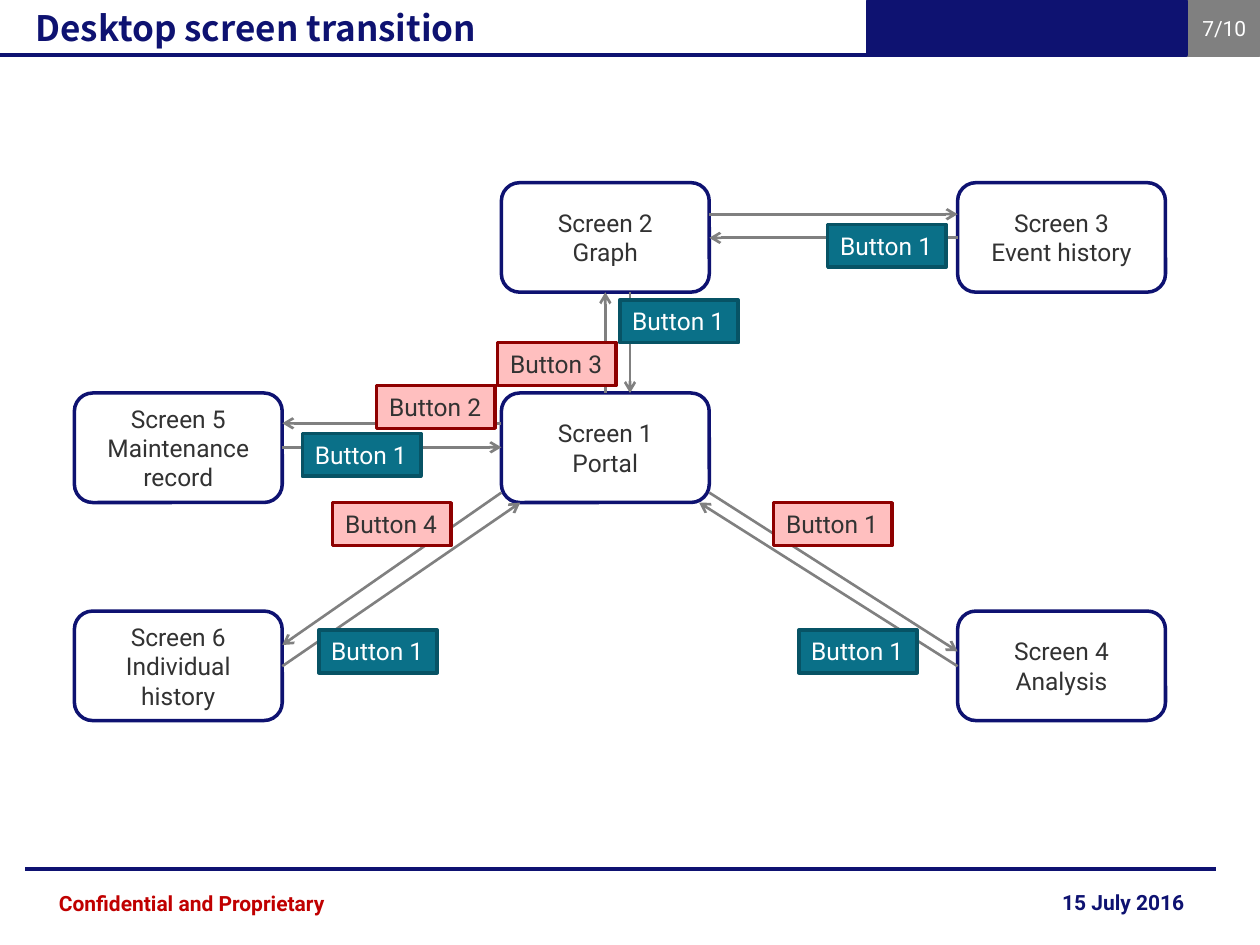
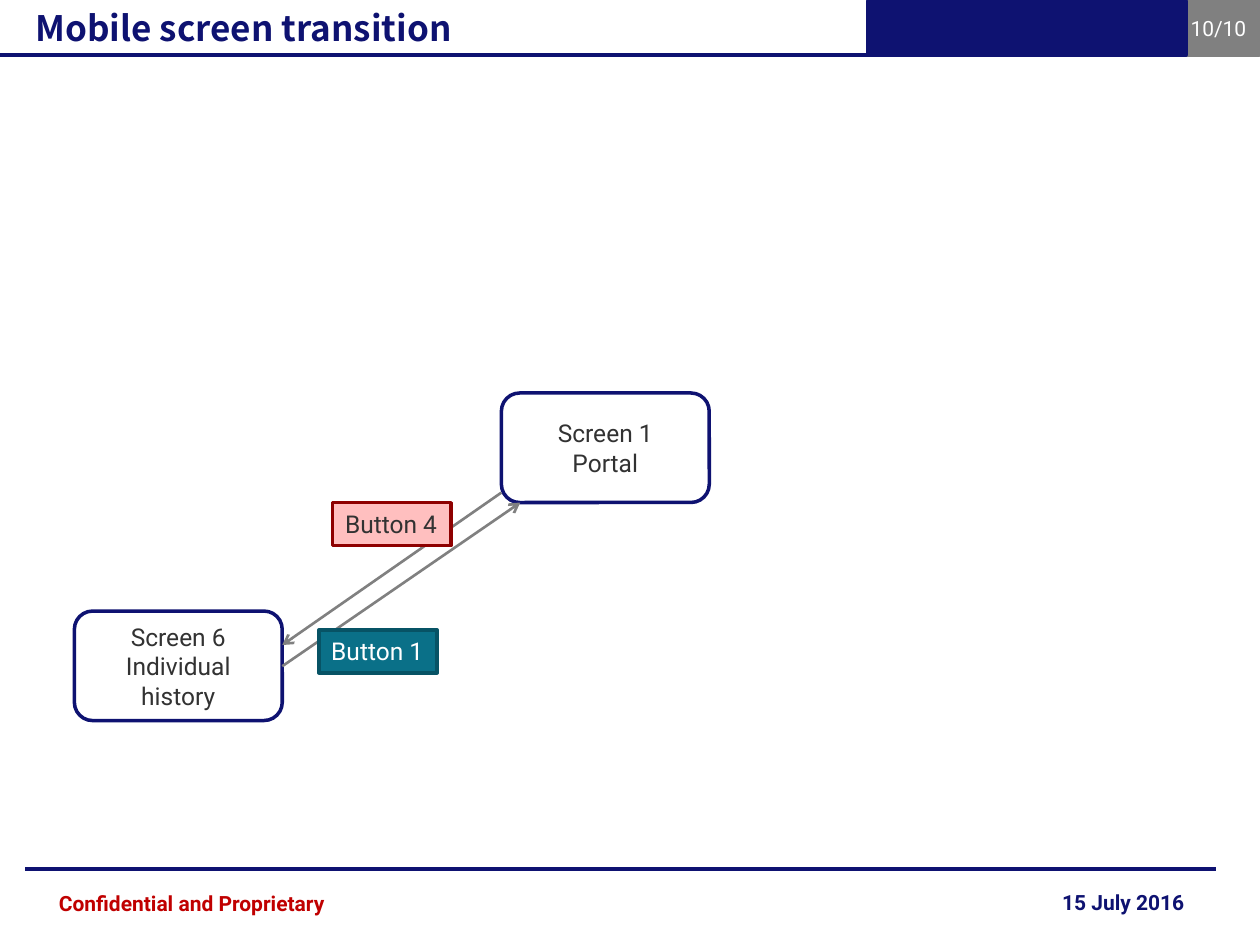
from lxml.etree import SubElement
from pptx import Presentation
from pptx.dml.color import RGBColor
from pptx.enum.shapes import MSO_CONNECTOR, MSO_SHAPE
from pptx.enum.text import MSO_ANCHOR as ANCHOR, MSO_AUTO_SIZE as FIT, PP_ALIGN as ALIGN
from pptx.oxml.ns import qn
from pptx.util import Pt

COLORS = {
    "navy": "0E1271", "grey": "808080", "white": "FFFFFF", "text": "323232",
    "red": "C00000", "teal": "0A7088", "teal_edge": "075365",
    "pink": "FFBFBF", "pink_edge": "8E0000",
}
BODY_FONT, TITLE_FONT = "Roboto", "Noto Sans CJK JP"
SLIDE_W, SLIDE_H = 720, 540
HEADER = (0, 0, SLIDE_W, 31.7)
FOOTER = (14.4, 496.8, 680.4, 43.2)
DIAGRAM = (42.5, 104.4)
SCREEN_W, SCREEN_H = 118.8, 62.6
BUTTON_W, BUTTON_H = 67.7, 24.5
COLUMNS, ROWS = (0, 244, 504.7), (0, 120.2, 244.8)
PORTAL = 1

# Screen number: (column, row, name)
SCREENS = {
    2: (1, 0, "Graph"),
    3: (2, 0, "Event history"),
    1: (1, 1, "Portal"),
    4: (2, 2, "Analysis"),
    6: (0, 2, "Individual history"),
    5: (0, 1, "Maintenance record"),
}

# (from screen, point on it), (to screen, point on it), button, button position
TRANSITIONS = [
    ((6, SCREEN_W, 31.5), (1, 10.8, SCREEN_H), "Button 1", (139.7, 255.6)),
    ((4, 0, 31.5), (1, 113, SCREEN_H), "Button 1", (414, 255.6)),
    ((5, SCREEN_W, 31), (1, 0, 31), "Button 1", (130.3, 143.3)),
    ((2, 73.5, SCREEN_H), (1, 73.5, 0), "Button 1", (311.7, 67)),
    ((3, 0, 31.5), (2, SCREEN_W, 31.5), "Button 1", (430.5, 23.8)),
    ((2, SCREEN_W, 18), (3, 0, 18), None, None),
    ((1, 59.4, 0), (2, 59.4, SCREEN_H), "Button 3", (241.9, 91.4)),
    ((1, 0, 17.3), (5, SCREEN_W, 17.3), "Button 2", (172.8, 115.9)),
    ((1, SCREEN_W, 56.9), (4, 0, 23), "Button 1", (399.6, 182.9)),
    ((1, 0, 56.9), (6, SCREEN_W, 19.4), "Button 4", (147.6, 182.9)),
]


def rgb(name):
    return RGBColor.from_string(COLORS[name])


def set_text(sp, text, size, color, align=ALIGN.LEFT, bold=False,
             font=BODY_FONT, anchor=ANCHOR.MIDDLE, wrap=True):
    tf = sp.text_frame
    tf.text = text
    tf.word_wrap = wrap
    tf.auto_size = FIT.NONE if wrap else FIT.SHAPE_TO_FIT_TEXT
    tf.vertical_anchor = anchor
    for p in tf.paragraphs:
        p.alignment = align
        for r in p.runs:
            r.font.name, r.font.size, r.font.bold = font, Pt(size), bold
            r.font.color.rgb = rgb(color)


def add_box(slide, kind, box, fill, edge, width):
    sp = slide.shapes.add_shape(kind, *map(Pt, box))
    sp.shadow.inherit = False
    sp.fill.solid()
    sp.fill.fore_color.rgb = rgb(fill)
    sp.line.color.rgb = rgb(edge)
    sp.line.width = Pt(width)
    return sp


def add_line(slide, start, end, color, width, arrow=False):
    line = slide.shapes.add_connector(MSO_CONNECTOR.STRAIGHT, *map(Pt, (*start, *end)))
    line.line.color.rgb = rgb(color)
    line.line.width = Pt(width)
    sp_pr = line._element.spPr
    if arrow:
        SubElement(sp_pr.find(qn("a:ln")), qn("a:tailEnd"), type="arrow")
    SubElement(sp_pr, qn("a:effectLst"))


def add_header(slide, box, title, page):
    x, y, w, h = box
    sp = slide.shapes.title
    sp.left, sp.top, sp.width, sp.height = map(Pt, (x + 13, y, 483, h))
    set_text(sp, title, 20, "navy", bold=True, font=TITLE_FONT)
    add_line(slide, (x + 518.4, y + h), (x, y + h), "navy", 2.25)
    number = add_box(slide, MSO_SHAPE.RECTANGLE, (x + w - 50.4, y + 0.7, 49.7, h - 0.7),
                     "grey", "grey", 2.25)
    set_text(number, page, 12, "white", ALIGN.RIGHT)
    add_box(slide, MSO_SHAPE.RECTANGLE, (x + 496.1, y + 0.7, 181.4, h - 0.7),
            "navy", "navy", 2.25)


def add_footer(slide, box):
    x, y, w, _ = box
    add_line(slide, (x + w, y), (x, y), "navy", 2.25)
    notice = slide.shapes.add_textbox(*map(Pt, (x + 12.2, y + 8.6, 177.1, 21.6)))
    set_text(notice, "Confidential and Proprietary", 12, "red", bold=True, wrap=False)
    date = slide.shapes.add_textbox(*map(Pt, (x + w - 178.6, y + 4.3, 167.8, 28.8)))
    set_text(date, "15 July 2016", 12, "navy", ALIGN.RIGHT, bold=True)


def add_screen(slide, box, number, name):
    sp = add_box(slide, MSO_SHAPE.ROUNDED_RECTANGLE, box, "white", "navy", 2)
    set_text(sp, f"Screen {number}\n{name}", 14, "text", ALIGN.CENTER)


def add_button(slide, box, label, from_portal):
    fill, color = ("pink", "text") if from_portal else ("teal", "white")
    sp = add_box(slide, MSO_SHAPE.RECTANGLE, box, fill, f"{fill}_edge", 2)
    set_text(sp, label, 14, color, anchor=ANCHOR.TOP, wrap=False)


def add_diagram(slide, origin, shown):
    """Draw the shown screens and every transition between two of them."""
    x, y = origin

    def locate(number, dx=0, dy=0):
        column, row, _ = SCREENS[number]
        return x + COLUMNS[column] + dx, y + ROWS[row] + dy

    for number, (_, _, name) in SCREENS.items():
        if number in shown:
            add_screen(slide, (*locate(number), SCREEN_W, SCREEN_H), number, name)

    transitions = [t for t in TRANSITIONS if t[0][0] in shown and t[1][0] in shown]
    for start, end, _, _ in transitions:
        add_line(slide, locate(*start), locate(*end), "grey", 1.5, arrow=True)
    for start, _, label, place in transitions:
        if label:
            box = (x + place[0], y + place[1], BUTTON_W, BUTTON_H)
            add_button(slide, box, label, start[0] == PORTAL)


def add_transition_slide(prs, title, page, shown):
    slide = prs.slides.add_slide(prs.slide_layouts.get_by_name("Title Only"))
    add_footer(slide, FOOTER)
    add_header(slide, HEADER, title, page)
    add_diagram(slide, DIAGRAM, shown)


def main():
    prs = Presentation()
    prs.slide_width, prs.slide_height = Pt(SLIDE_W), Pt(SLIDE_H)
    add_transition_slide(prs, "Desktop screen transition", "7/10", set(SCREENS))
    add_transition_slide(prs, "Mobile screen transition", "10/10", {1, 6})
    prs.save("out.pptx")


if __name__ == "__main__":
    main()
